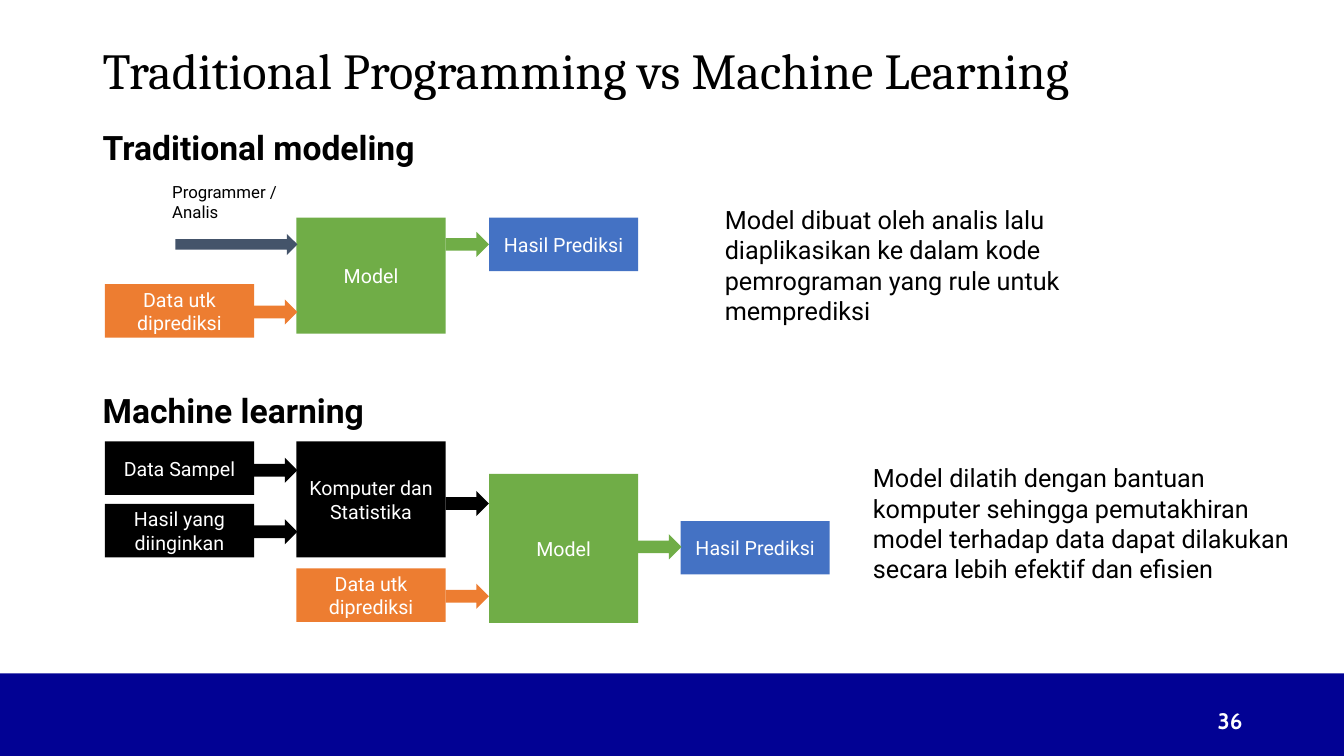
from dataclasses import dataclass
from pptx import Presentation, util as u
from pptx.dml.color import RGBColor
from pptx.enum import shapes, text


@dataclass(frozen=True)
class Theme:
    white: str = "FFFFFF"
    black: str = "000000"
    navy: str = "020294"
    green: str = "70AD47"
    orange: str = "ED7D31"
    blue: str = "4472C4"
    slate: str = "44546A"
    serif: str = "Cambria"
    sans: str = "Roboto"
    badge: str = "Cabin"
    title: int = 36
    head: int = 24
    body: int = 18
    page: int = 16
    label: int = 14
    note: int = 12


@dataclass(frozen=True)
class Box:
    col: int
    top: int
    high: int
    fill: str
    label: str


@dataclass(frozen=True)
class Arrow:
    col: int  # column of the box it leaves
    top: int
    fill: str


@dataclass(frozen=True)
class Note:
    left: int
    top: int
    wide: int
    high: int
    words: str
    size: int
    bold: bool = False


T = Theme()
PX = 9144  # EMU in one px, 100 px to the inch
WIDE, HIGH = 1333, 750
BOX_W, BOX_H, TALL = 148, 53, 115
GAP, HEAD_H = 43, 25


def px(n: int) -> u.Emu:
    return u.Emu(n * PX)


def col_x(col: int) -> int:
    return 104 + 381 * col // 2


def write(shape, words: str, *, size: int, font: str = T.sans,
          color: str = T.black, bold: bool = False,
          align=text.PP_ALIGN.LEFT, anchor=text.MSO_ANCHOR.TOP,
          line: float = 1.0) -> None:
    frame = shape.text_frame
    frame.word_wrap = True
    frame.vertical_anchor = anchor
    frame.text = words
    for para in frame.paragraphs:
        para.alignment = align
        para.line_spacing = line
        para.font.size = u.Pt(size)
        para.font.name = font
        para.font.bold = bold
        para.font.color.rgb = RGBColor.from_string(color)


def add_text(slide, left: int, top: int, wide: int, high: int,
             words: str, **form) -> None:
    area = map(px, (left, top, wide, high))
    write(slide.shapes.add_textbox(*area), words, **form)


def add_form(slide, kind, left: int, top: int, wide: int, high: int,
             fill: str):
    area = map(px, (left, top, wide, high))
    shape = slide.shapes.add_shape(kind, *area)
    shape.shadow.inherit = False
    shape.fill.solid()
    shape.fill.fore_color.rgb = RGBColor.from_string(fill)
    shape.line.fill.background()
    return shape


def add_box(slide, box: Box) -> None:
    shape = add_form(slide, shapes.MSO_SHAPE.RECTANGLE, col_x(box.col),
                     box.top, BOX_W, box.high, box.fill)
    write(shape, box.label, size=T.label, color=T.white,
          align=text.PP_ALIGN.CENTER, anchor=text.MSO_ANCHOR.MIDDLE)


def add_arrow(slide, arrow: Arrow) -> None:
    add_form(slide, shapes.MSO_SHAPE.RIGHT_ARROW, col_x(arrow.col) + BOX_W,
             arrow.top, GAP, HEAD_H, arrow.fill)


BOXES = (
    # Traditional modeling
    Box(1, 216, TALL, T.green, "Model"),
    Box(0, 282, BOX_H, T.orange, "Data utk diprediksi"),
    Box(2, 216, BOX_H, T.blue, "Hasil Prediksi"),
    # Machine learning
    Box(0, 438, BOX_H, T.black, "Data Sampel"),
    Box(0, 500, BOX_H, T.black, "Hasil yang diinginkan"),
    Box(1, 438, TALL, T.black, "Komputer dan\nStatistika"),
    Box(2, 470, BOX_W, T.green, "Model"),
    Box(1, 564, BOX_H, T.orange, "Data utk diprediksi"),
    Box(3, 517, BOX_H, T.blue, "Hasil Prediksi"),
)

ARROWS = (
    Arrow(0, 297, T.orange),
    Arrow(1, 230, T.green),
    Arrow(0, 454, T.black),
    Arrow(0, 515, T.black),
    Arrow(1, 487, T.black),
    Arrow(1, 579, T.orange),
    Arrow(2, 530, T.green),
)

NOTES = (
    Note(92, 121, 351, 50, "Traditional modeling", T.head, True),
    Note(92, 382, 295, 50, "Machine learning", T.head, True),
    Note(161, 175, 160, 50, "Programmer / Analis", T.note),
    Note(709, 198, 451, 131, "Model dibuat oleh analis lalu diaplikasikan "
         "ke dalam kode pemrograman yang rule untuk memprediksi", T.body),
    Note(856, 454, 451, 131, "Model dilatih dengan bantuan komputer sehingga "
         "pemutakhiran model terhadap data dapat dilakukan secara lebih "
         "efektif dan efisien", T.body),
)


def main() -> None:
    deck = Presentation()
    deck.slide_width, deck.slide_height = px(WIDE), px(HIGH)
    slide = deck.slides.add_slide(deck.slide_layouts[6])

    # Footer band and page number
    add_form(slide, shapes.MSO_SHAPE.RECTANGLE, 0, 668, WIDE, 82, T.navy)
    add_text(slide, 942, 695, 300, 40, "36", size=T.page, font=T.badge,
             color=T.white, bold=True, align=text.PP_ALIGN.RIGHT,
             anchor=text.MSO_ANCHOR.MIDDLE)

    # Title
    add_text(slide, 92, 19, 1150, 107,
             "Traditional Programming vs Machine Learning", size=T.title,
             font=T.serif, anchor=text.MSO_ANCHOR.MIDDLE, line=0.9)

    # Flow diagrams
    for box in BOXES:
        add_box(slide, box)
    for arrow in ARROWS:
        add_arrow(slide, arrow)
    add_form(slide, shapes.MSO_SHAPE.RIGHT_ARROW, 174, 232, 121, 21, T.slate)

    # Headings and remarks
    for note in NOTES:
        add_text(slide, note.left, note.top, note.wide, note.high,
                 note.words, size=note.size, bold=note.bold)

    deck.save("out.pptx")


if __name__ == "__main__":
    main()
